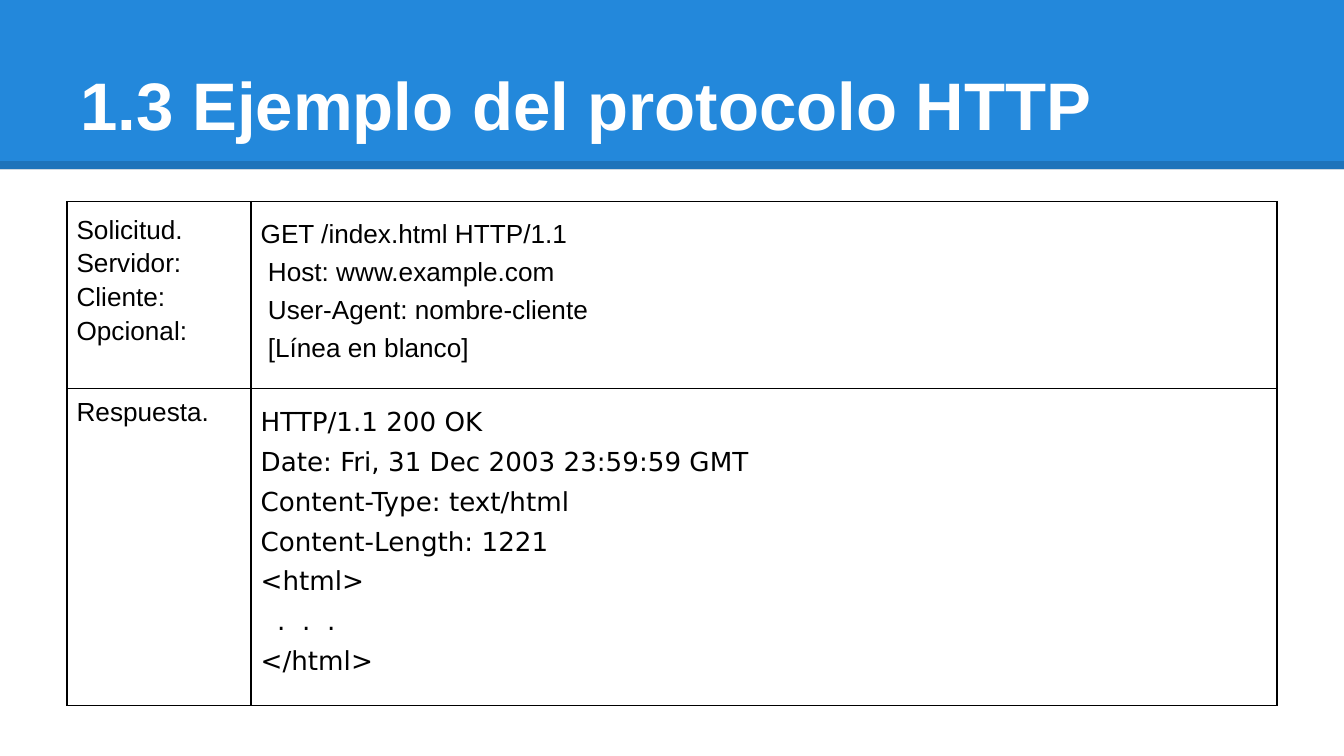
from copy import deepcopy

from lxml.etree import SubElement
from pptx import Presentation
from pptx.dml.color import RGBColor
from pptx.enum.shapes import MSO_CONNECTOR, MSO_SHAPE
from pptx.enum.text import MSO_ANCHOR
from pptx.oxml import parse_xml
from pptx.oxml.ns import nsdecls, qn
from pptx.util import Pt

SCALE = 4572  # EMU per px, 200 px to the inch
WIDE, HIGH = 2000, 1125
BLUE = RGBColor(0x23, 0x88, 0xDB)
BLACK = RGBColor(0, 0, 0)
WHITE = RGBColor(255, 255, 255)

HEAD = {"name": "Arial", "size": Pt(36), "bold": True}
BODY = {"name": "Arial", "size": Pt(14)}
CODE = {"name": "DejaVu Sans", "size": Pt(14)}

COLS = [274, 1526]
# Each row: height, then cells of (paragraphs, line spacing, font); \v breaks a line
ROWS = [
    (278, [
        (["Solicitud.", "Servidor:", "Cliente:", "Opcional:"], 1.15, BODY),
        (["GET /index.html HTTP/1.1\v Host: www.example.com\v"
          " User-Agent: nombre-cliente\v [Línea en blanco]"], 1.3, BODY),
    ]),
    (472, [
        (["Respuesta."], 1.0, BODY),
        (["HTTP/1.1 200 OK\vDate: Fri, 31 Dec 2003 23:59:59 GMT\v"
          "Content-Type: text/html\vContent-Length: 1221\v<html>\v  .  .  .",
          "</html>"], 1.3, CODE),
    ]),
]


def px(*vals):
    return [val * SCALE for val in vals]


def put(item, form):
    for key, val in form.items():
        setattr(item, key, val)


def write(frame, paras, space, form, color):
    """Fill a text frame, giving line breaks the same format as the runs."""
    frame.text = "\n".join(paras)
    for para in frame.paragraphs:
        para.line_spacing = space
        for run in para.runs:
            put(run.font, form)
            run.font.color.rgb = color
        style = para.runs[0].font._element
        for gap in para._p.findall(qn("a:br")):
            gap.append(deepcopy(style))


def edge(cell):
    """Draw a black 1 pt border on all four sides of a cell."""
    props = cell._tc.get_or_add_tcPr()
    for spot, side in enumerate("LRTB"):
        props.insert(spot, parse_xml(
            f'<a:ln{side} {nsdecls("a")} w="{Pt(1)}"><a:solidFill>'
            f'<a:srgbClr val="{BLACK}"/></a:solidFill></a:ln{side}>'))


def add_band(slide, left, top, width, height):
    band = slide.shapes.add_shape(
        MSO_SHAPE.RECTANGLE, *px(left, top, width, height))
    band.shadow.inherit = False
    band.fill.solid()
    band.fill.fore_color.rgb = BLUE
    band.line.fill.background()

    low = top + height - 6
    rule = slide.shapes.add_connector(
        MSO_CONNECTOR.STRAIGHT, *px(left, low, left + width, low))
    rule.line.width = Pt(4.5)
    rule.line.color.rgb = BLACK
    props = rule._element.spPr
    SubElement(props.find(".//" + qn("a:srgbClr")), qn("a:alpha"), val="15000")
    SubElement(props, qn("a:effectLst"))

    title = slide.shapes.add_textbox(
        *px(left + 100, top + 46, width - 200, height - 64)).text_frame
    pad = 20 * SCALE
    put(title, {"word_wrap": True, "vertical_anchor": MSO_ANCHOR.BOTTOM,
                "margin_left": pad, "margin_right": pad,
                "margin_top": pad, "margin_bottom": pad})
    write(title, ["1.3 Ejemplo del protocolo HTTP"], 1.0, HEAD, WHITE)


def add_grid(slide, left, top, width, height):
    grid = slide.shapes.add_table(
        len(ROWS), len(COLS), *px(left, top, width, height)).table
    put(grid, {"first_row": False, "horz_banding": False})
    for col, size in zip(grid.columns, COLS):
        col.width = size * SCALE
    pad = 14 * SCALE
    for row, (size, cells) in zip(grid.rows, ROWS):
        row.height = size * SCALE
        for cell, (paras, space, form) in zip(row.cells, cells):
            put(cell, {"margin_left": pad, "margin_right": pad,
                       "margin_top": pad, "margin_bottom": pad})
            cell.fill.background()
            edge(cell)
            write(cell.text_frame, paras, space, form, BLACK)


def main():
    deck = Presentation()
    deck.slide_width, deck.slide_height = px(WIDE, HIGH)
    slide = deck.slides.add_slide(deck.slide_layouts[6])
    add_band(slide, 0, 0, WIDE, 252)
    add_grid(slide, 100, 300, sum(COLS), sum(size for size, _ in ROWS))
    deck.save("out.pptx")


if __name__ == "__main__":
    main()
